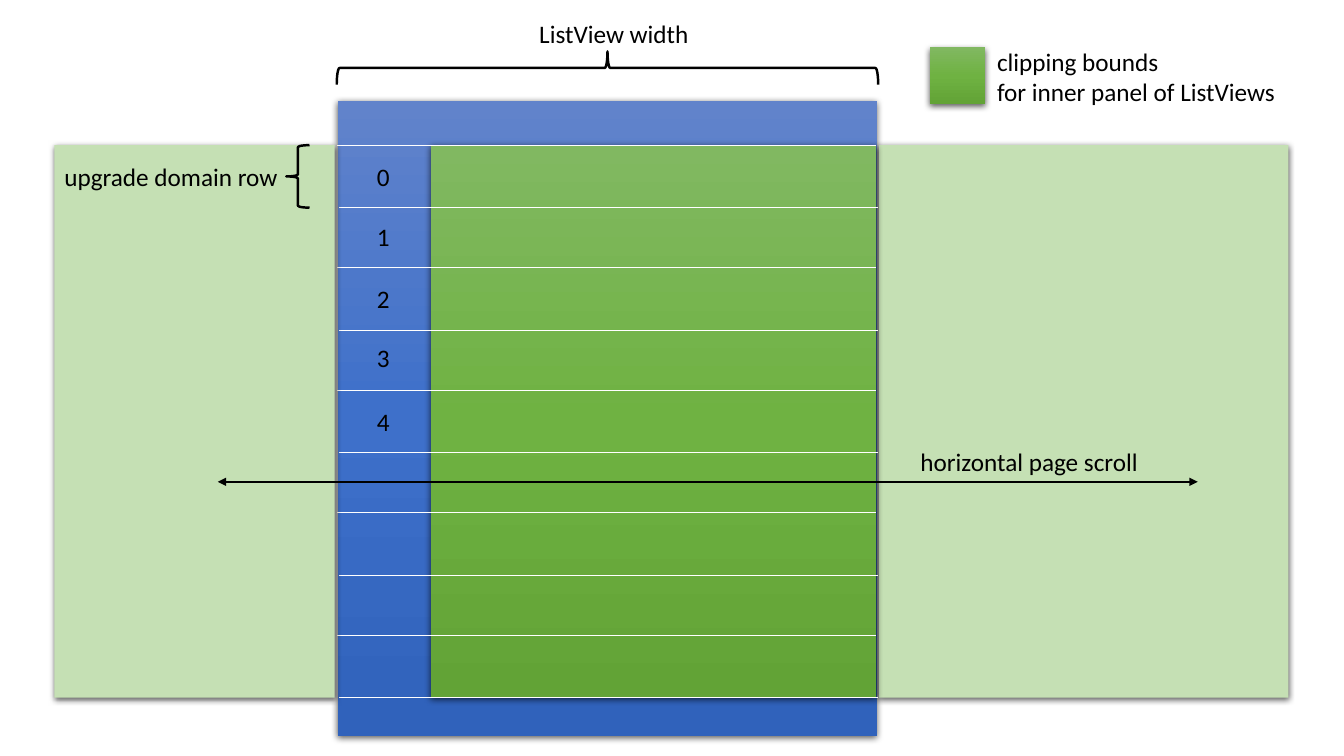
from dataclasses import dataclass

from lxml.etree import SubElement
from pptx import Presentation
from pptx.dml.color import RGBColor
from pptx.enum.shapes import MSO_CONNECTOR as Connector, MSO_SHAPE as Preset
from pptx.enum.text import MSO_AUTO_SIZE as AutoSize
from pptx.oxml.ns import qn
from pptx.slide import Slide
from pptx.util import Inches, Pt

BLUE = ("6183CB", "3E70CA", "3062BB")
GREEN = ("81B861", "6FB242", "62A336")
PALE_GREEN = ("C5E0B4",)
BLACK, WHITE = "000000", "FFFFFF"

PANEL_TOP, PANEL_HEIGHT = 1.44, 5.48
ROW_HEIGHT, ROW_PAIR_HEIGHT = 0.62, 1.215
ROW_LINE_COUNT = 10


@dataclass(frozen=True)
class Area:
    left: float
    top: float
    width: float
    height: float

    def lengths(self) -> list[Inches]:
        return [Inches(v) for v in (self.left, self.top, self.width, self.height)]


@dataclass(frozen=True)
class Panel:
    area: Area
    colors: tuple[str, ...]


@dataclass(frozen=True)
class Brace:
    area: Area
    rotation: float = 0


@dataclass(frozen=True)
class Label:
    text: str
    area: Area


LIST_VIEW = Panel(Area(3.35, 1, 5.35, 6.3), BLUE)
RIGHT_PAGE = Panel(Area(8.72, PANEL_TOP, 4.06, PANEL_HEIGHT), PALE_GREEN)
CLIPPING = Panel(Area(4.27, PANEL_TOP, 4.42, PANEL_HEIGHT), GREEN)
LEFT_PAGE = Panel(Area(0.54, PANEL_TOP, 2.78, PANEL_HEIGHT), PALE_GREEN)
LEGEND_KEY = Panel(Area(9.22, 0.47, 0.55, 0.56), GREEN)

BRACES = [
    Brace(Area(5.86, -2.01, 0.33, 5.37), rotation=90),
    Brace(Area(2.84, PANEL_TOP, 0.23, ROW_HEIGHT)),
]

LABELS = [
    Label("ListView width", Area(5.25, 0.13, 1.7, 0.4)),
    Label("horizontal page scroll", Area(9.03, 4.38, 2.38, 0.4)),
    Label("clipping bounds\nfor inner panel of ListViews", Area(9.79, 0.41, 2.99, 0.71)),
    Label("upgrade domain row", Area(0.54, 1.55, 2.34, 0.4)),
]
ROW_NUMBER_TOPS = (1.55, 2.15, 2.76, 3.35, 3.98)


def rgb(color: str) -> RGBColor:
    return RGBColor.from_string(color)


def add_panel(slide: Slide, panel: Panel) -> None:
    """Draw a borderless rectangle, plain or shaded downwards, with a soft shadow."""
    shape = slide.shapes.add_shape(Preset.RECTANGLE, *panel.area.lengths())
    shape.line.fill.background()
    properties = shape.element.spPr
    if len(panel.colors) == 1:
        shape.fill.solid()
        shape.fill.fore_color.rgb = rgb(panel.colors[0])
    else:
        shape.fill.gradient()
        shape.fill.gradient_angle = 270
        stops = properties.find(f"{qn('a:gradFill')}/{qn('a:gsLst')}")
        stops.clear()
        step = 100000 // (len(panel.colors) - 1)
        for index, color in enumerate(panel.colors):
            stop = SubElement(stops, qn("a:gs"), pos=str(index * step))
            SubElement(stop, qn("a:srgbClr"), val=color)

    shape.shadow.inherit = False
    shadow = SubElement(
        properties.find(qn("a:effectLst")), qn("a:outerShdw"),
        blurRad=str(Pt(4.5)), dist=str(Pt(1.5)), dir="5400000",
        algn="ctr", rotWithShape="0",
    )
    tint = SubElement(shadow, qn("a:srgbClr"), val=BLACK)
    SubElement(tint, qn("a:alpha"), val="63000")


def add_horizontal(slide: Slide, left: float, right: float, top: float, *,
                   color: str, weight: float, arrows: bool = False) -> None:
    line = slide.shapes.add_connector(
        Connector.STRAIGHT, Inches(left), Inches(top), Inches(right), Inches(top))
    line.line.color.rgb = rgb(color)
    line.line.width = Pt(weight)
    if arrows:
        outline = line.line._get_or_add_ln()
        for end in ("a:headEnd", "a:tailEnd"):
            SubElement(outline, qn(end), type="triangle")
    SubElement(line.element.spPr, qn("a:effectLst"))


def add_brace(slide: Slide, brace: Brace) -> None:
    shape = slide.shapes.add_shape(Preset.LEFT_BRACE, *brace.area.lengths())
    shape.rotation = brace.rotation
    shape.fill.background()
    shape.line.color.rgb = rgb(BLACK)
    shape.line.width = Pt(1.75)
    shape.shadow.inherit = False


def add_text(slide: Slide, text: str, area: Area, *, size: float = 18,
             font: str = "Calibri", color: str = BLACK) -> None:
    frame = slide.shapes.add_textbox(*area.lengths()).text_frame
    frame.word_wrap = False
    frame.auto_size = AutoSize.SHAPE_TO_FIT_TEXT
    frame.text = text
    for para in frame.paragraphs:
        for span in para.runs:
            span.font.size = Pt(size)
            span.font.name = font
            span.font.color.rgb = rgb(color)


def main() -> None:
    deck = Presentation()
    deck.slide_width, deck.slide_height = Inches(13.33), Inches(7.5)
    slide = deck.slides.add_slide(deck.slide_layouts.get_by_name("Blank"))

    for panel in (LIST_VIEW, RIGHT_PAGE, CLIPPING):
        add_panel(slide, panel)
    for index in range(ROW_LINE_COUNT):
        pair, second = divmod(index, 2)
        left = 3.34 + 0.02 * second
        top = PANEL_TOP + ROW_PAIR_HEIGHT * pair + ROW_HEIGHT * second
        add_horizontal(slide, left, left + 5.35, top, color=WHITE, weight=0.5)
    for panel in (LEFT_PAGE, LEGEND_KEY):
        add_panel(slide, panel)

    add_horizontal(slide, 2.16, 11.88, 4.78, color=BLACK, weight=1.75, arrows=True)
    for brace in BRACES:
        add_brace(slide, brace)
    for label in LABELS:
        add_text(slide, label.text, label.area)
    for number, top in enumerate(ROW_NUMBER_TOPS):
        add_text(slide, str(number), Area(3.64, top, 0.33, 0.4))

    deck.save("out.pptx")


if __name__ == "__main__":
    main()
